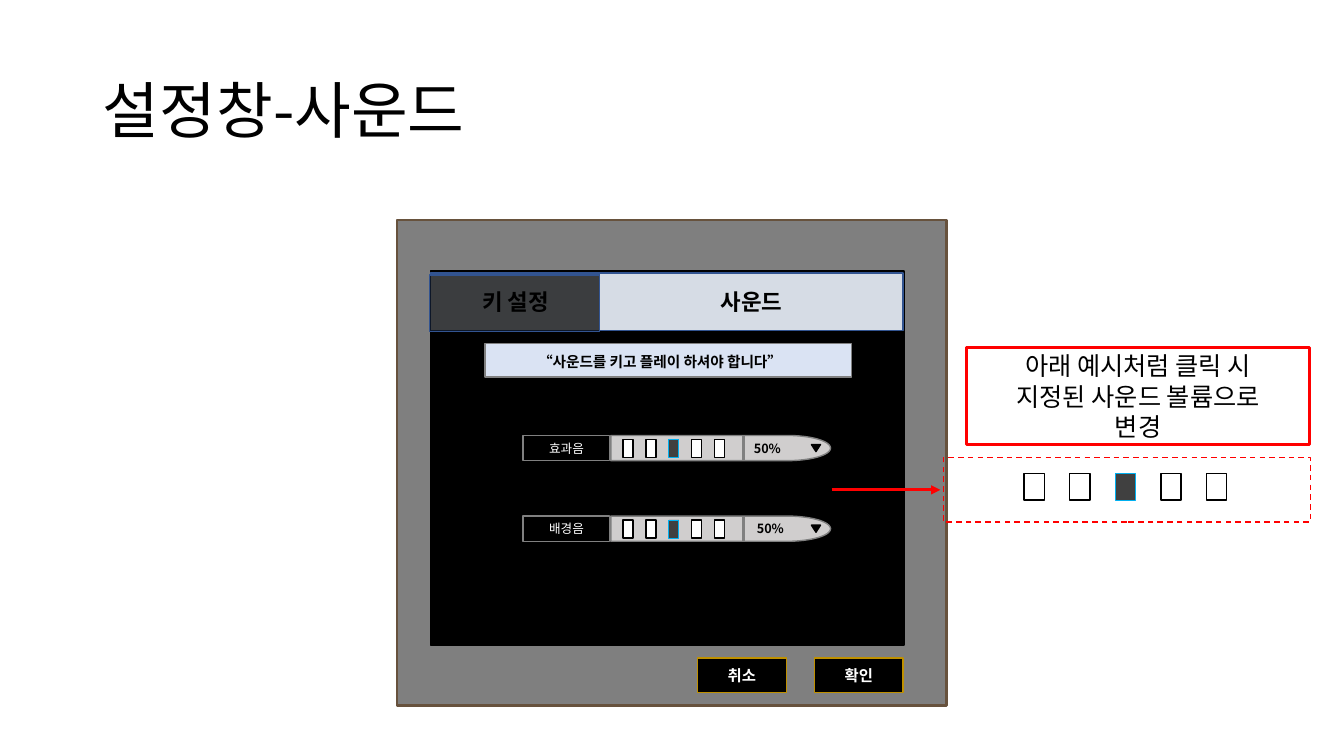
from dataclasses import dataclass
from math import cos, pi, sin
from typing import Optional

from lxml.etree import SubElement
from pptx import Presentation
from pptx.dml.color import RGBColor
from pptx.enum.dml import MSO_LINE
from pptx.enum.shapes import MSO_CONNECTOR, MSO_SHAPE
from pptx.enum.text import MSO_ANCHOR, PP_ALIGN
from pptx.oxml.ns import qn
from pptx.util import Inches, Pt

BLACK = RGBColor(0x00, 0x00, 0x00)
WHITE = RGBColor(0xFF, 0xFF, 0xFF)
RED = RGBColor(0xFF, 0x00, 0x00)
BROWN = RGBColor(0x67, 0x52, 0x3D)
GOLD = RGBColor(0xBF, 0x90, 0x00)
NAVY = RGBColor(0x32, 0x54, 0x91)
SKY = RGBColor(0x00, 0xB0, 0xF0)
TAB_BLUE = RGBColor(0xD6, 0xDC, 0xE5)
NOTICE_BLUE = RGBColor(0xDA, 0xE3, 0xF3)
STRIP_GREY = RGBColor(0xA6, 0xA6, 0xA6)
SLIDER_GREY = RGBColor(0xD0, 0xCE, 0xCE)
EDGE_GREY = RGBColor(0x80, 0x80, 0x80)
DARK_GREY = RGBColor(0x40, 0x40, 0x40)

FONT = "Noto Sans CJK KR"
COLUMNS, ROWS = 160, 90

deck = Presentation()
deck.slide_width, deck.slide_height = Inches(13.33), Inches(7.5)
slide = deck.slides.add_slide(deck.slide_layouts[5])


@dataclass
class Area:
    column: float
    row: float
    columns: float
    rows: float


@dataclass
class Words:
    text: str
    size: float
    color: RGBColor = BLACK
    bold: bool = False
    align: PP_ALIGN = PP_ALIGN.CENTER
    anchor: MSO_ANCHOR = MSO_ANCHOR.MIDDLE
    spacing: Optional[float] = None


@dataclass
class Panel:
    area: Area
    fill: Optional[RGBColor]
    edge: RGBColor
    edge_width: float = 1
    words: Optional[Words] = None
    opacity: int = 100
    dashed: bool = False


@dataclass
class Volume:
    label: str
    row: float
    percent_column: float


def x(column: float) -> int:
    return round(deck.slide_width * column / COLUMNS)


def y(row: float) -> int:
    return round(deck.slide_height * row / ROWS)


def place(area: Area) -> tuple[int, int, int, int]:
    return x(area.column), y(area.row), x(area.columns), y(area.rows)


def write(frame, words: Words) -> None:
    frame.word_wrap = True
    frame.vertical_anchor = words.anchor
    for index, line in enumerate(words.text.split("\n")):
        paragraph = frame.add_paragraph() if index else frame.paragraphs[0]
        paragraph.alignment = words.align
        if words.spacing:
            paragraph.line_spacing = words.spacing
        run = paragraph.add_run()
        run.text = line
        run.font.size = Pt(words.size)
        run.font.bold = words.bold
        run.font.color.rgb = words.color
        run.font.name = FONT
        SubElement(run.font._element, qn("a:ea")).set("typeface", FONT)


def paint(shape, fill: Optional[RGBColor], edge: RGBColor, edge_width: float = 1) -> None:
    shape.shadow.inherit = False
    if fill is None:
        shape.fill.background()
    else:
        shape.fill.solid()
        shape.fill.fore_color.rgb = fill
    shape.line.color.rgb = edge
    shape.line.width = Pt(edge_width)


def draw_panel(panel: Panel) -> None:
    shape = slide.shapes.add_shape(MSO_SHAPE.RECTANGLE, *place(panel.area))
    paint(shape, panel.fill, panel.edge, panel.edge_width)
    if panel.opacity < 100:
        color = shape.fill._xPr.find(qn("a:solidFill"))[0]
        SubElement(color, qn("a:alpha")).set("val", str(panel.opacity * 1000))
    if panel.dashed:
        shape.line.dash_style = MSO_LINE.DASH
    if panel.words:
        write(shape.text_frame, panel.words)


def draw_text(area: Area, words: Words) -> None:
    write(slide.shapes.add_textbox(*place(area)).text_frame, words)


def draw_line(start: tuple[float, float], end: tuple[float, float], color: RGBColor, arrow: bool = False) -> None:
    line = slide.shapes.add_connector(
        MSO_CONNECTOR.STRAIGHT, x(start[0]), y(start[1]), x(end[0]), y(end[1]))
    line.line.color.rgb = color
    line.line.width = Pt(2.25)
    if arrow:
        SubElement(line.line._get_or_add_ln(), qn("a:tailEnd")).set("type", "triangle")
    SubElement(line._element.spPr, qn("a:effectLst"))


def draw_steps(first: Area, pitch: float) -> None:
    for step in range(5):
        chosen = step == 2
        area = Area(first.column + step * pitch, first.row, first.columns, first.rows)
        draw_panel(Panel(area, DARK_GREY if chosen else WHITE,
                         SKY if chosen else BLACK, 0.5 if chosen else 1))


def draw_volume(volume: Volume) -> None:
    top, height = volume.row, 3
    left, bend, reach = 72.72, 93.72, 5.16
    draw_panel(Panel(Area(62.28, top, 10.32, height), BLACK, EDGE_GREY,
                     words=Words(volume.label, 9, WHITE)))
    angles = [pi * (part / 24 - 0.5) for part in range(25)]
    curve = [(x(bend + reach * cos(angle)), y(top + height / 2 * (1 + sin(angle))))
             for angle in angles]
    outline = slide.shapes.build_freeform(x(left), y(top))
    outline.add_line_segments(curve + [(x(left), y(top + height))])
    paint(outline.convert_to_shape(), SLIDER_GREY, EDGE_GREY)
    marker = slide.shapes.add_shape(MSO_SHAPE.ISOSCELES_TRIANGLE,
                                    *place(Area(96.6, top + 1.08, 1.08, 0.84)))
    marker.rotation = 180
    paint(marker, BLACK, BLACK)
    draw_text(Area(volume.percent_column, top, 9.24, height),
              Words("50%", 9, bold=True, align=PP_ALIGN.LEFT, anchor=MSO_ANCHOR.TOP))
    draw_steps(Area(74.16, top + 0.45, 1.2, 2.16), 2.73)
    draw_line((88.56, top), (88.56, top + height), EDGE_GREY)


title = slide.shapes.title
title.left, title.top, title.width, title.height = place(Area(11.04, 4.8, 138, 17.4))
write(title.text_frame, Words("설정창-사운드", 44, align=PP_ALIGN.LEFT, spacing=0.9))

WINDOW = [
    Panel(Area(47.28, 26.16, 65.4, 57.84), BLACK, BROWN, 1.75, opacity=50),
    Panel(Area(51.24, 32.4, 56.4, 44.4), BLACK, BLACK),
    Panel(Area(96.96, 78.36, 10.56, 4.08), BLACK, GOLD, words=Words("확인", 11, WHITE, True)),
    Panel(Area(83.04, 78.36, 10.56, 4.08), BLACK, GOLD, words=Words("취소", 11, WHITE, True)),
    Panel(Area(51.24, 32.28, 56.4, 7.08), STRIP_GREY, BLACK),
    Panel(Area(51.24, 32.52, 20.28, 6.84), TAB_BLUE, NAVY, words=Words("키 설정", 16, bold=True)),
    Panel(Area(71.4, 32.52, 36.12, 6.84), TAB_BLUE, NAVY, words=Words("사운드", 16, bold=True)),
    Panel(Area(51.12, 32.76, 20.28, 6.72), BLACK, NAVY, opacity=72),
    Panel(Area(57.72, 40.92, 43.68, 3.96), NOTICE_BLUE, EDGE_GREY),
]
for part in WINDOW:
    draw_panel(part)
draw_text(Area(62.88, 41.4, 33.12, 3.36),
          Words("“사운드를 키고 플레이 하셔야 합니다”", 10.5, bold=True,
                align=PP_ALIGN.LEFT, anchor=MSO_ANCHOR.TOP))

for setting in (Volume("효과음", 51.84, 88.56), Volume("배경음", 61.44, 88.92)):
    draw_volume(setting)

draw_panel(Panel(Area(112.32, 54.48, 43.68, 7.68), None, RED, dashed=True))
draw_steps(Area(121.92, 56.4, 2.4, 3.12), 5.43)
draw_line((99, 58.32), (111.96, 58.32), RED, arrow=True)
draw_panel(Panel(Area(115.08, 41.4, 40.8, 11.52), None, RED, 2.25,
                 Words("아래 예시처럼 클릭 시\n지정된 사운드 볼륨으로\n변경", 18)))

deck.save("out.pptx")
